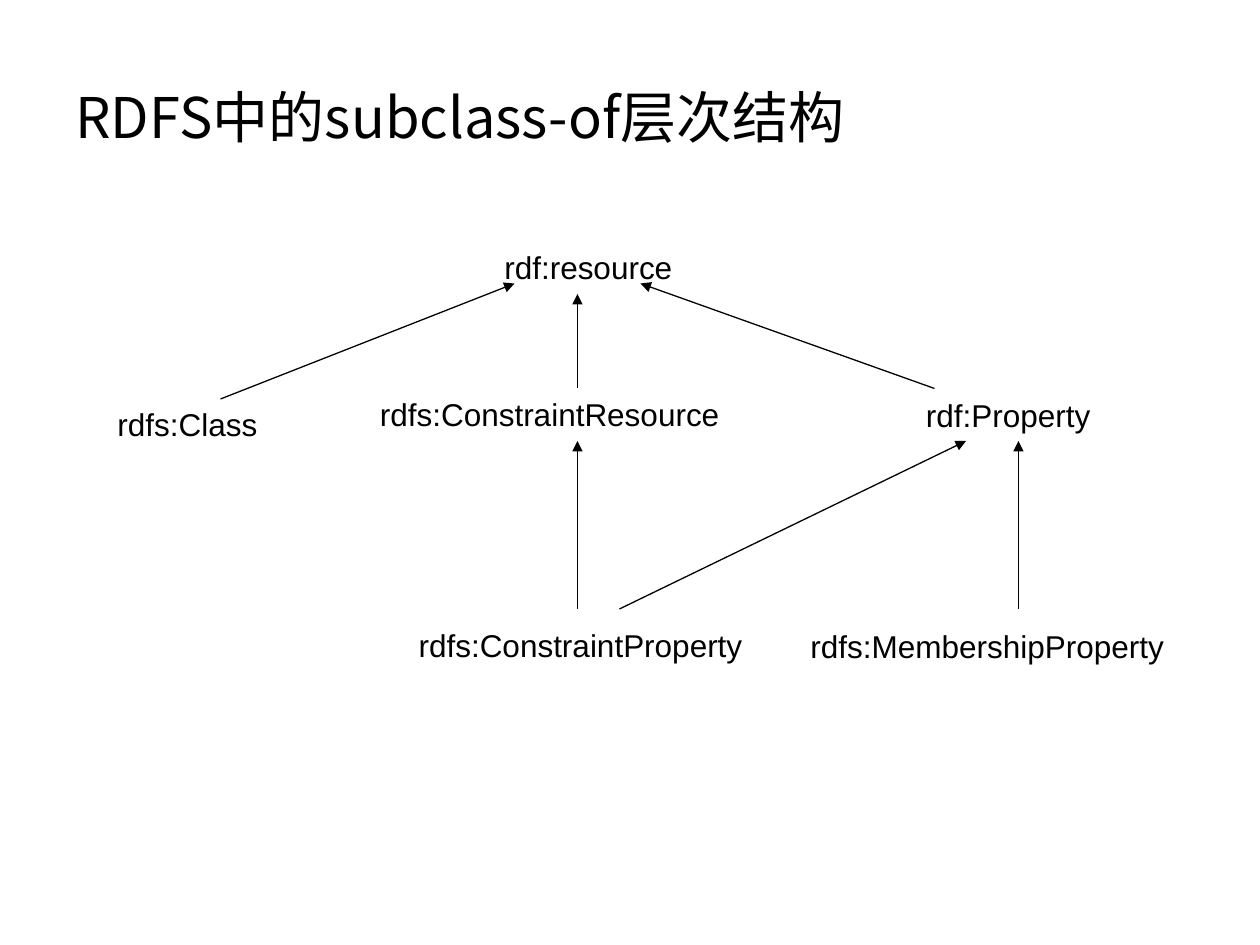
import dataclasses

import pptx
import pptx.dml.color
import pptx.enum.shapes
import pptx.enum.text
import pptx.oxml.ns
import pptx.util
from lxml import etree

Pt = pptx.util.Pt


@dataclasses.dataclass(frozen=True)
class Theme:
    ink: str = "000000"
    paper: str = "FFFFFF"
    head: str = "Noto Sans CJK SC"
    body: str = "Arial"
    big: float = 32
    small: float = 18
    line: float = 0.75


THEME = Theme()
ANCHOR = pptx.enum.text.MSO_ANCHOR

# Text, left, top, width, indent
NODES = [
    ("rdf:resource", 246, 138, 168, 35),
    ("rdfs:Class", 60, 228, 126, 0),
    ("rdfs:ConstraintResource", 210, 222, 222, 0),
    ("rdf:Property", 522, 223, 138, 0),
    ("rdfs:ConstraintProperty", 222, 354, 210, 10),
    ("rdfs:MembershipProperty", 456, 355, 228, 0),
]

# Subclass end, superclass end
LINKS = [
    ((126, 228), (294, 162)),
    ((330, 222), (330, 168)),
    ((534, 222), (366, 162)),
    ((330, 348), (330, 252)),
    ((354, 348), (552, 252)),
    ((582, 348), (582, 252)),
]


def color(code):
    return pptx.dml.color.RGBColor.from_string(code)


def child(node, tag, **attrs):
    return etree.SubElement(node, pptx.oxml.ns.qn(tag), **attrs)


def text(slide, words, left, top, width, height, *, font=THEME.body,
         size=THEME.small, indent=0, right=7.2, anchor=ANCHOR.TOP):
    box = slide.shapes.add_textbox(Pt(left), Pt(top), Pt(width), Pt(height))
    frame = box.text_frame
    frame.word_wrap = True
    frame.vertical_anchor = anchor
    frame.margin_left = Pt(7.2 + indent)
    frame.margin_right = Pt(right)
    frame.margin_top = frame.margin_bottom = Pt(3.6)
    run = frame.paragraphs[0].add_run()
    run.text = words
    run.font.name = font
    run.font.size = Pt(size)
    run.font.color.rgb = color(THEME.ink)
    child(run.font._element, "a:ea", typeface=font)


def arrow(slide, start, end):
    kind = pptx.enum.shapes.MSO_CONNECTOR.STRAIGHT
    link = slide.shapes.add_connector(kind, *map(Pt, start + end))
    link.line.color.rgb = color(THEME.ink)
    link.line.width = Pt(THEME.line)
    child(link.line._get_or_add_ln(), "a:tailEnd", type="triangle")
    child(link._element.spPr, "a:effectLst")


def main():
    deck = pptx.Presentation()
    deck.slide_width, deck.slide_height = Pt(720), Pt(540)
    slide = deck.slides.add_slide(deck.slide_layouts[6])
    fill = slide.background.fill
    fill.solid()
    fill.fore_color.rgb = color(THEME.paper)

    text(slide, "RDFS中的subclass-of层次结构", 36, 21.6, 648, 90,
         font=THEME.head, size=THEME.big, anchor=ANCHOR.MIDDLE)
    for words, left, top, width, indent in NODES:
        text(slide, words, left, top, width, 28.8, indent=indent, right=0)
    for start, end in LINKS:
        arrow(slide, start, end)
    deck.save("out.pptx")


if __name__ == "__main__":
    main()
